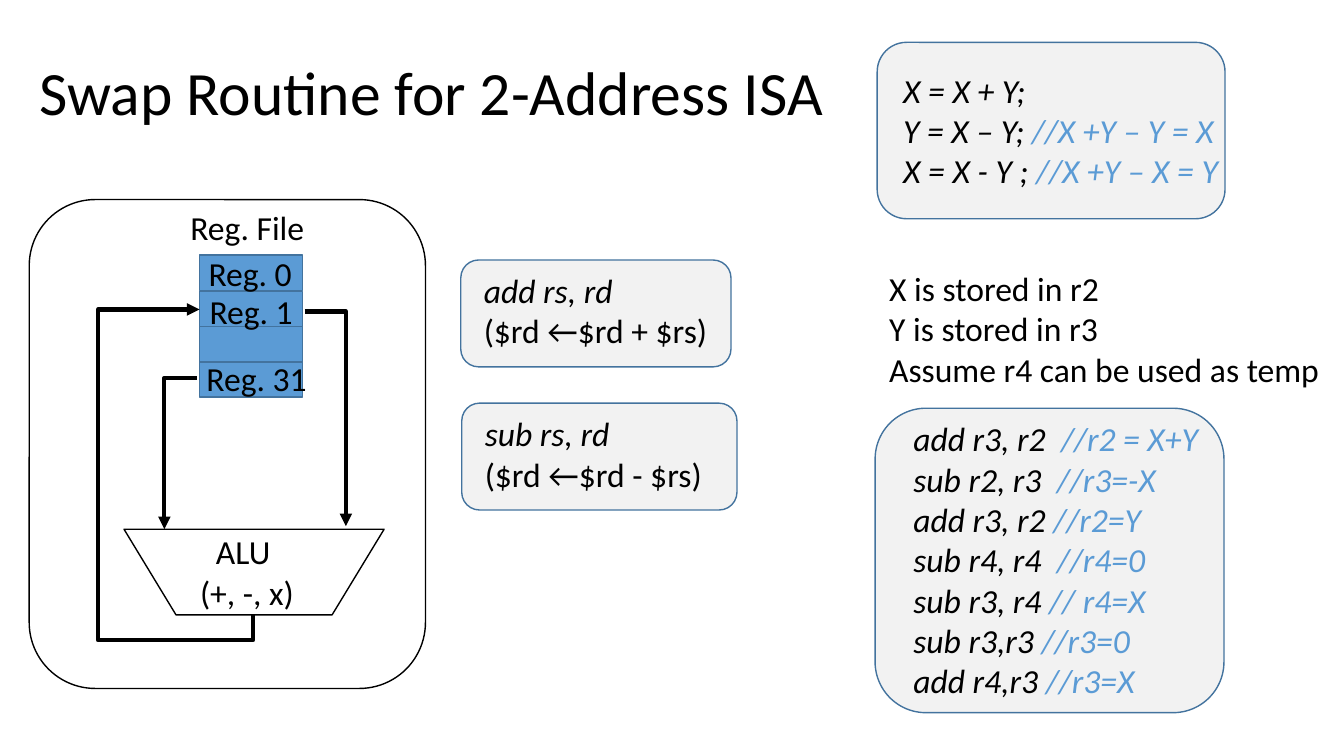
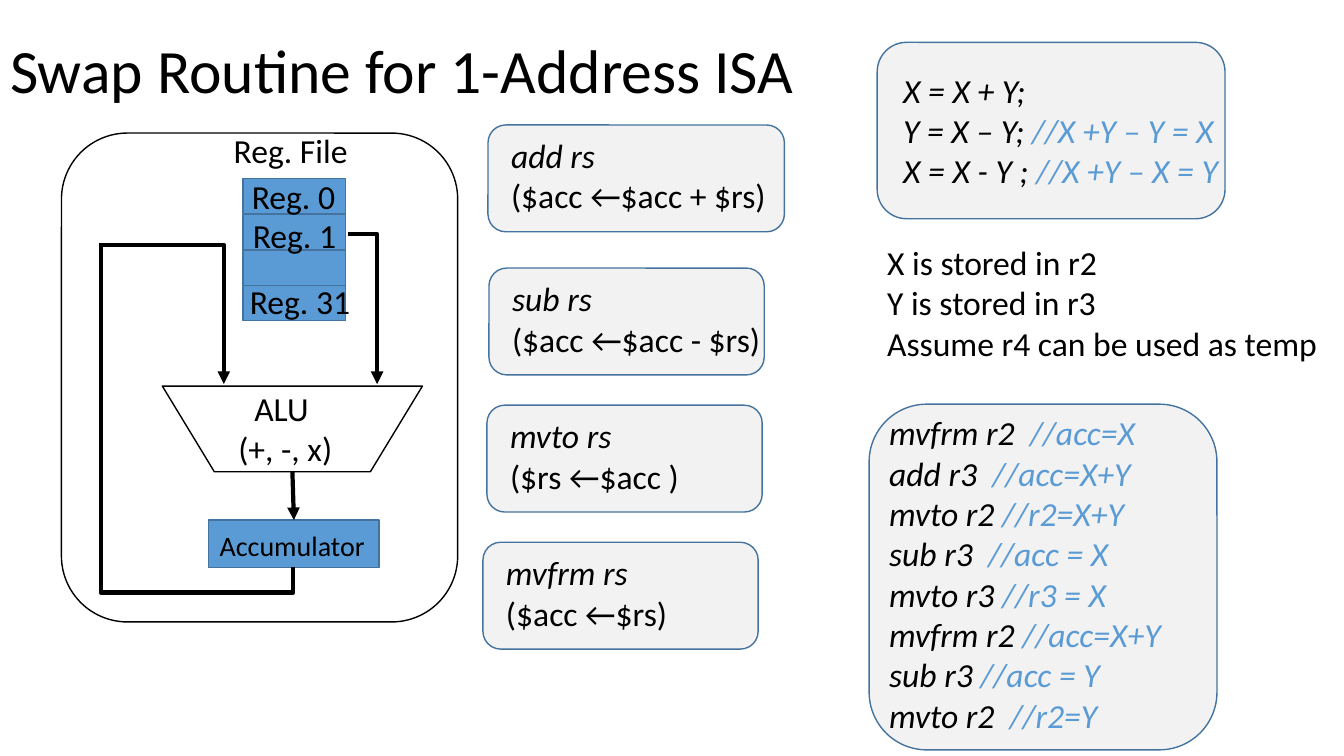
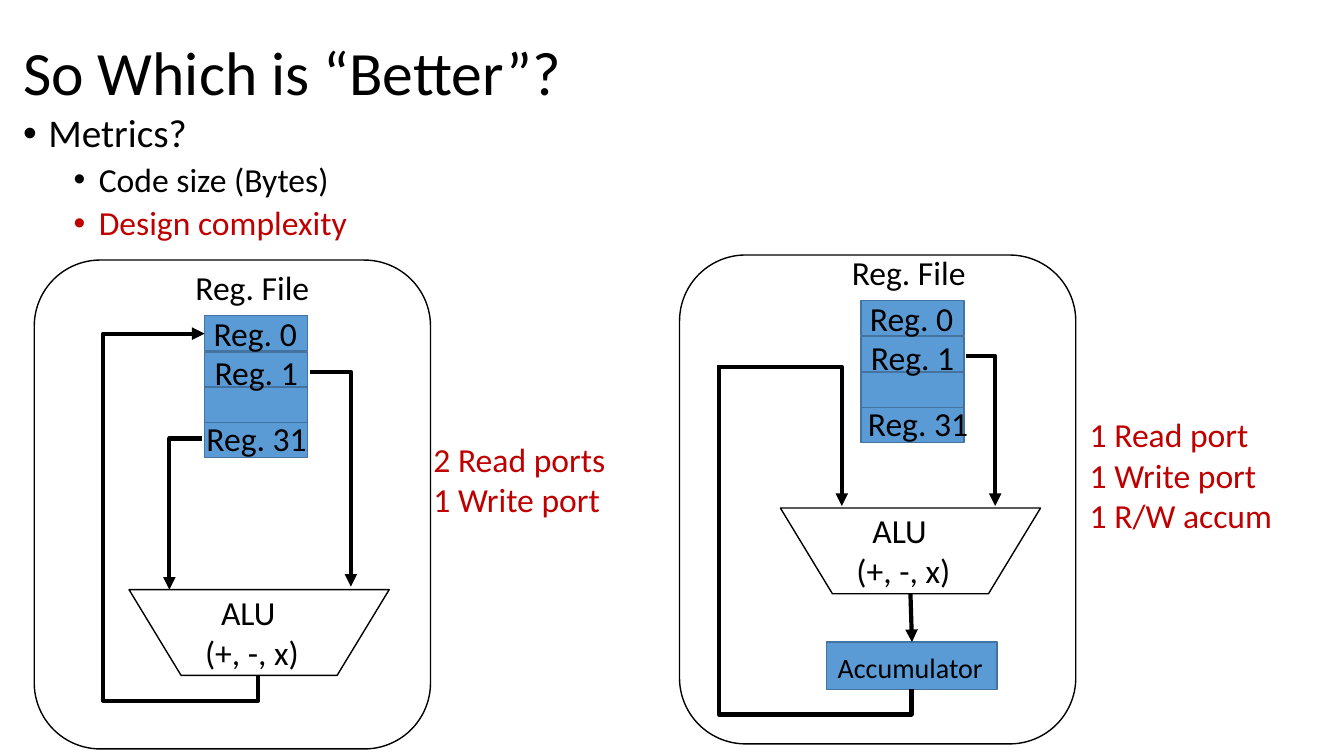
from pptx import Presentation
from pptx import util as u
from pptx.dml.color import RGBColor
from pptx.enum import shapes, text
from pptx.oxml.ns import qn
from lxml import etree

SCALE = 9144  # EMU in one px, 100 px to the inch
FONT = "Calibri"
COLORS = {"ink": "000000", "blue": "5B9BD5", "edge": "43739E",
          "card": "F2F2F2", "red": "C00000"}
TITLE_ONLY, TITLE_AND_BODY = 5, 1
TOP, LEFT, BOTTOM, RIGHT = range(4)
REGISTER_W, REGISTER_H, REGISTER_PITCH = 102, 35, 35.5
PANEL_W, PANEL_H = 393, 485
ALU_W, ALU_H = 258, 85


def px(value):
    return u.Emu(round(value * SCALE))


def rgb(name):
    return RGBColor.from_string(COLORS[name])


def write(frame, lines, size=24, color="ink", italic_lines=0, align=None, spacing=None):
    """Fill a text frame; the part of a line from // on is a blue comment."""
    for index, line in enumerate(lines):
        para = frame.paragraphs[0] if index == 0 else frame.add_paragraph()
        para.alignment = align
        para.line_spacing = spacing
        code, mark, comment = line.partition("//")
        for words, tint in ((code, color), (mark + comment, "blue")):
            if not words:
                continue
            span = para.add_run()
            span.text = words
            font = span.font
            font.name, font.size = FONT, u.Pt(size)
            font.italic = index < italic_lines
            font.color.rgb = rgb(tint)


class Sketch:
    def __init__(self, deck):
        self.deck = deck
        self.page = None

    def start(self, title, left, top, layout=TITLE_ONLY):
        self.page = self.deck.slides.add_slide(self.deck.slide_layouts[layout])
        frame = self.place(self.page.shapes.title, left, top, 1150, 145)
        frame.vertical_anchor = text.MSO_ANCHOR.MIDDLE
        write(frame, [title], size=44, align=text.PP_ALIGN.LEFT, spacing=0.9)

    def place(self, holder, left, top, width, height):
        holder.left, holder.top = px(left), px(top)
        holder.width, holder.height = px(width), px(height)
        frame = holder.text_frame
        frame.word_wrap = True
        frame.auto_size = text.MSO_AUTO_SIZE.NONE
        return frame

    def bullets(self, left, top, items):
        """Fill the body placeholder with (words, level, color) items."""
        frame = self.place(self.page.placeholders[1], left, top, 1150, 476)
        frame.vertical_anchor = text.MSO_ANCHOR.TOP
        for index, (words, level, color) in enumerate(items):
            para = frame.paragraphs[0] if index == 0 else frame.add_paragraph()
            para.level = level
            para.line_spacing = 0.9
            para.space_before = u.Pt(5 if level else 10)
            props = para._p.get_or_add_pPr()
            props.set("marL", str(px(25 + 50 * level)))
            props.set("indent", str(px(-25)))
            etree.SubElement(props, qn("a:buFont")).set("typeface", "Arial")
            etree.SubElement(props, qn("a:buChar")).set("char", "•")
            span = para.add_run()
            span.text = words
            span.font.name, span.font.size = FONT, u.Pt(24 if level else 28)
            span.font.color.rgb = rgb(color)

    def shape(self, kind, left, top, width, height, fill=None, line="edge"):
        item = self.page.shapes.add_shape(kind, px(left), px(top), px(width), px(height))
        item.shadow.inherit = False
        if fill:
            item.fill.solid()
            item.fill.fore_color.rgb = rgb(fill)
        else:
            item.fill.background()
        item.line.color.rgb = rgb(line)
        item.line.width = u.Pt(1)
        return item

    def label(self, left, top, width, height, *lines, **style):
        box = self.page.shapes.add_textbox(px(left), px(top), px(width), px(height))
        box.text_frame.word_wrap = False
        box.text_frame.auto_size = text.MSO_AUTO_SIZE.SHAPE_TO_FIT_TEXT
        write(box.text_frame, lines, **style)
        return box

    def card(self, left, top, width, height):
        self.shape(shapes.MSO_SHAPE.ROUNDED_RECTANGLE, left, top, width, height, "card")

    def connector(self, kind, start, end, arrow=True, begin=None, finish=None):
        """Draw a line; begin and finish are (shape, side) pairs to join."""
        wire = self.page.shapes.add_connector(kind, *map(px, start + end))
        if begin:
            wire.begin_connect(*begin)
        if finish:
            wire.end_connect(*finish)
        wire.line.color.rgb = rgb("ink")
        wire.line.width = u.Pt(3)
        if arrow:
            line = wire.line._get_or_add_ln()
            etree.SubElement(line, qn("a:tailEnd")).set("type", "triangle")
        etree.SubElement(wire._element.spPr, qn("a:effectLst"))
        return wire

    def elbow(self, bends, start, end, turn=0, flip=None, adjust=(), **joins):
        """Draw a bent connector whose unturned frame is derived from its ends."""
        wire = self.connector(shapes.MSO_CONNECTOR.ELBOW, start, end, **joins)
        width, height = abs(end[0] - start[0]), abs(end[1] - start[1])
        if turn % 180:
            width, height = height, width
        wire.left = px((start[0] + end[0] - width) / 2)
        wire.top = px((start[1] + end[1] - height) / 2)
        wire.width, wire.height = px(width), px(height)
        props = wire._element.spPr
        xfrm = props.find(qn("a:xfrm"))
        for name in ("flipH", "flipV"):
            xfrm.attrib.pop(name, None)
        if turn:
            xfrm.set("rot", str(turn * 60000))
        if flip:
            xfrm.set(flip, "1")
        outline = props.find(qn("a:prstGeom"))
        outline.set("prst", f"bentConnector{bends}")
        guides = outline.find(qn("a:avLst"))
        for index, share in enumerate(adjust, 1):
            guide = etree.SubElement(guides, qn("a:gd"))
            guide.set("name", f"adj{index}")
            guide.set("fmla", f"val {round(share * 100000)}")

    def panel(self, left, top):
        self.shape(shapes.MSO_SHAPE.ROUNDED_RECTANGLE, left, top, PANEL_W, PANEL_H, line="ink")

    def register_file(self, left, top, last_shift=-3):
        """Return the register boxes and the labels of registers 1 and 31."""
        boxes = [self.shape(shapes.MSO_SHAPE.RECTANGLE, left, top + round(REGISTER_PITCH * row),
                            REGISTER_W, REGISTER_H, "blue") for row in range(4)]
        self.label(left - 19, top - 53, 134, 50, "Reg. File")
        self.label(left - 1, top - 7, 103, 50, "Reg. 0")
        second = self.label(left, top + 31, 103, 50, "Reg. 1")
        last = self.label(left + last_shift, top + 97, 120, 50, "Reg. 31")
        return boxes, second, last

    def alu(self, left, top):
        item = self.shape(shapes.MSO_SHAPE.FLOWCHART_MANUAL_OPERATION,
                          left, top, ALU_W, ALU_H, line="ink")
        self.label(left + 65, top - 3, 114, 91, "ALU ", "(+, -, x)",
                   align=text.PP_ALIGN.CENTER)
        return item

    def two_address(self, left, top, target, last_shift=-3):
        """Draw the two-address machine; target is the register written to."""
        def at(x, y):
            return left + x, top + y

        self.panel(left, top)
        boxes, second, last = self.register_file(*at(169, 55), last_shift)
        alu = self.alu(*at(94, 327))
        self.elbow(2, at(166, 177), at(134, 327), 180, "flipV", begin=(last, LEFT))
        self.elbow(2, at(273, 111), at(314, 324), begin=(second, RIGHT))
        entry = 73 + 36 * target
        self.elbow(4, at(222, 412), at(169, entry), 90, "flipH",
                   (-25 / (412 - entry), 2.9),
                   begin=(alu, BOTTOM), finish=(boxes[target], LEFT))

    def one_address(self, left, top):
        def at(x, y):
            return left + x, top + y

        self.panel(left, top)
        second = self.register_file(*at(180, 45))[1]
        alu = self.alu(*at(100, 251))
        accumulator = self.shape(shapes.MSO_SHAPE.RECTANGLE, *at(146, 384), 169, 47, "blue")
        self.label(*at(147, 387), 166, 44, "Accumulator", size=20)
        self.elbow(2, at(284, 100), at(313, 249), begin=(second, RIGHT))
        self.elbow(3, at(230, 431), at(39, 109), 90, "flipH", (-0.077,),
                   arrow=False, begin=(accumulator, BOTTOM))
        self.elbow(3, at(37, 111), at(161, 249), 270, "flipH", (0,))
        self.connector(shapes.MSO_CONNECTOR.STRAIGHT, at(229, 336), at(230, 384),
                       begin=(alu, BOTTOM), finish=(accumulator, TOP))

    def instruction(self, left, top, width, label_width, name, effect):
        self.card(left, top, width, 106)
        self.label(left + 13, top + 5, label_width, 91, name, effect, italic_lines=1)

    def swap_task(self, notes_left, notes_top):
        self.card(870, 42, 345, 175)
        self.label(886, 64, 334, 131, "X = X + Y;", "Y = X – Y; //X +Y – Y = X",
                   "X = X - Y ; //X +Y – X = Y", italic_lines=3)
        self.label(notes_left, notes_top, 450, 131, "X is stored in r2",
                   "Y is stored in r3", "Assume r4 can be used as temp")

    def program(self, card, label, lines):
        self.card(*card)
        self.label(*label, *lines, italic_lines=len(lines))


def main():
    deck = Presentation()
    deck.slide_width, deck.slide_height = u.Inches(13.33), u.Inches(7.5)
    sketch = Sketch(deck)

    sketch.start("Swap Routine for 2-Address ISA", 29, 22)
    sketch.two_address(29, 198, target=1)
    sketch.instruction(457, 258, 268, 244, "add rs, rd", "($rd ←$rd + $rs)")
    sketch.instruction(458, 400, 273, 237, "sub rs, rd", "($rd ←$rd - $rs)")
    sketch.swap_task(872, 261)
    sketch.program((868, 405, 346, 302), (896, 410, 313, 293), [
        "add r3, r2  //r2 = X+Y", "sub r2, r3  //r3=-X", "add r3, r2 //r2=Y",
        "sub r4, r4  //r4=0", "sub r3, r4 // r4=X", "sub r3,r3 //r3=0",
        "add r4,r3 //r3=X"])

    sketch.start("Swap Routine for 1-Address ISA", 0, 0)
    sketch.one_address(61, 132)
    for row in ((484, 124, 294, 275, "add rs", "($acc ←$acc + $rs)"),
                (485, 266, 273, 268, "sub rs", "($acc ←$acc - $rs)"),
                (483, 402, 273, 189, "mvto rs", "($rs ←$acc )"),
                (479, 538, 273, 181, "mvfrm rs", "($acc ←$rs)")):
        sketch.instruction(*row)
    sketch.swap_task(870, 235)
    sketch.program((862, 401, 345, 343), (872, 404, 354, 333), [
        "mvfrm r2  //acc=X", "add r3  //acc=X+Y", "mvto r2 //r2=X+Y",
        "sub r3  //acc = X", "mvto r3 //r3 = X", "mvfrm r2 //acc=X+Y",
        "sub r3 //acc = Y", "mvto r2  //r2=Y"])

    sketch.start("So Which is “Better”?", 13, 2, TITLE_AND_BODY)
    sketch.bullets(13, 108, [("Metrics?", 0, "ink"), ("Code size (Bytes)", 1, "ink"),
                             ("Design complexity", 1, "red")])
    sketch.two_address(34, 258, target=0, last_shift=-8)
    sketch.label(420, 430, 192, 131, "2 Read ports", "1 Write port", color="red")
    sketch.one_address(674, 253)
    sketch.label(1071, 406, 203, 172, "1 Read port", "1 Write port", "1 R/W accum",
                 color="red")

    deck.save("out.pptx")


if __name__ == "__main__":
    main()
